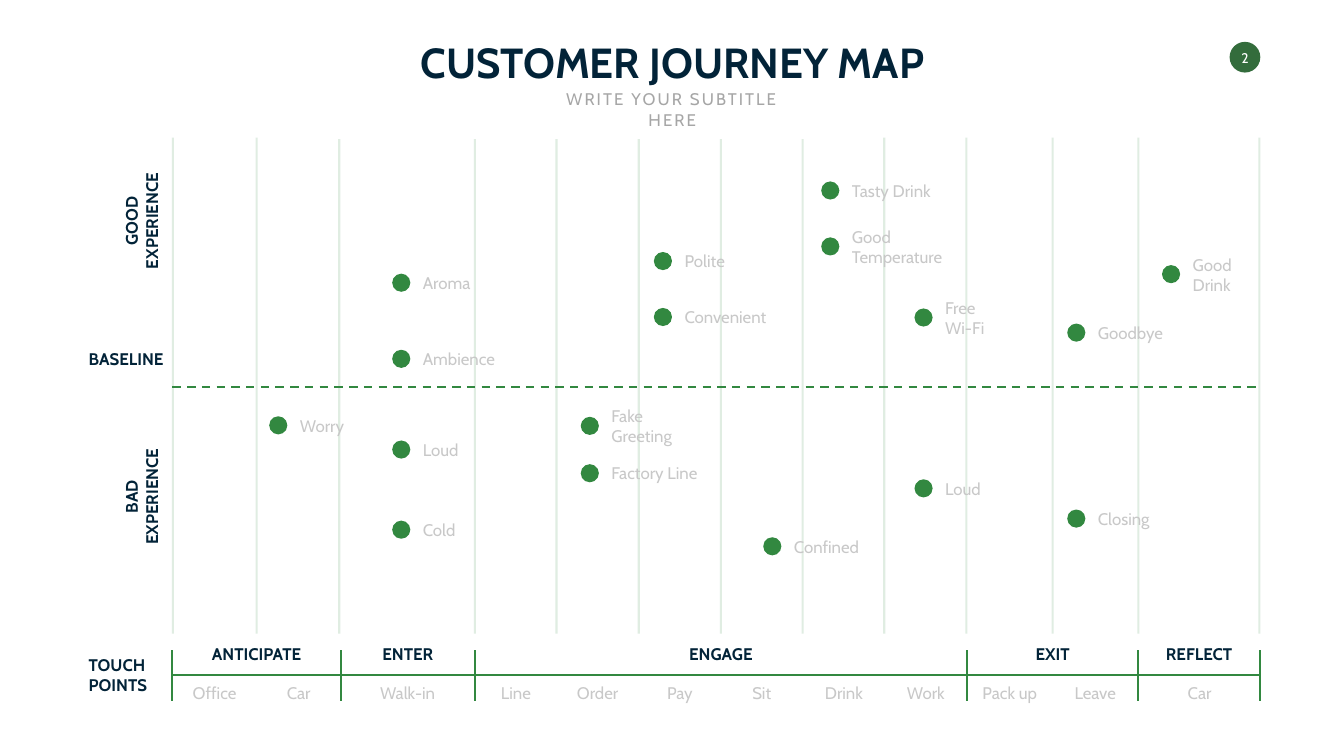
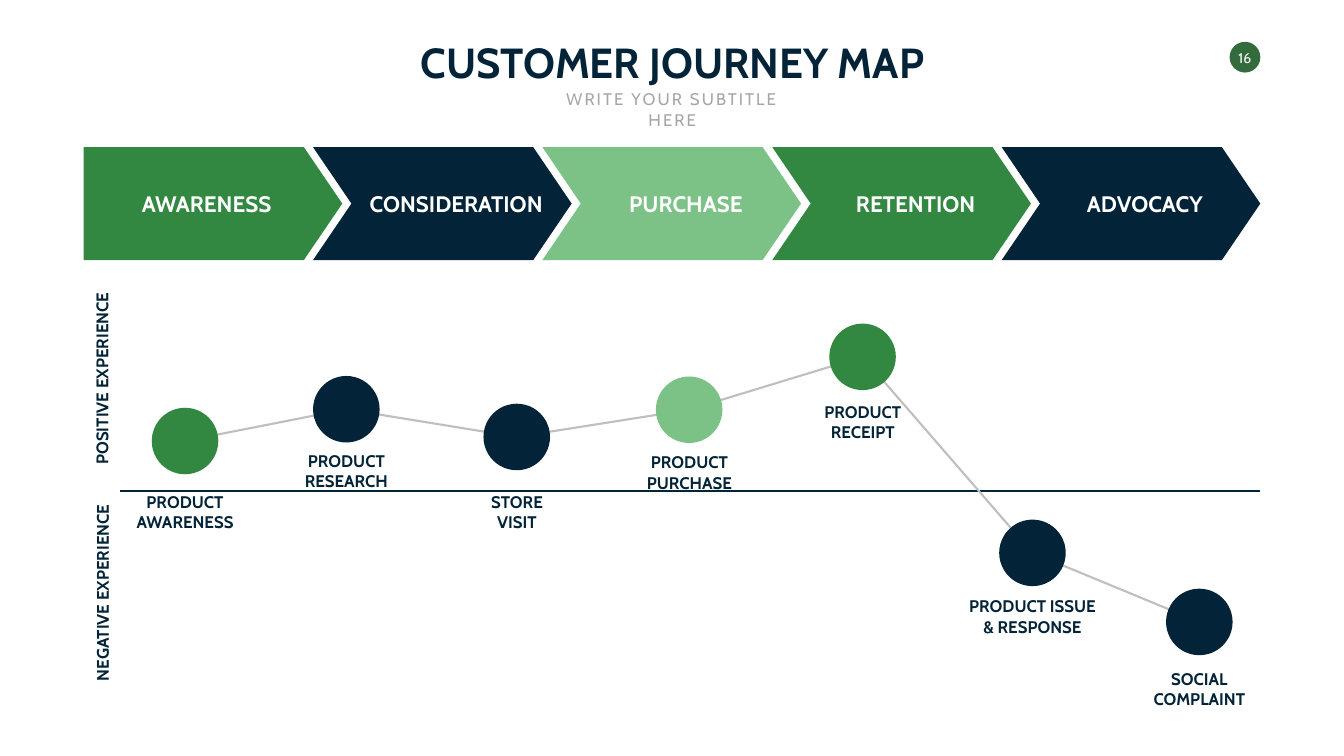
from lxml import etree
from pptx import Presentation
from pptx import util as u
from pptx.dml.color import RGBColor
from pptx.enum import dml, shapes, text
from pptx.oxml.ns import qn

PX = 9144  # 100 px to the inch
FONT = "Cabin"
COLORS = {
    "navy": "022338", "green": "328840", "light": "7CC287", "badge": "336C3C",
    "subtitle": "A6A6A6", "label": "C8C8C8", "path": "BFBFBF", "white": "FFFFFF",
}
LEFT, CENTER, RIGHT = text.PP_ALIGN.LEFT, text.PP_ALIGN.CENTER, text.PP_ALIGN.RIGHT
TOP, MIDDLE, BOTTOM = text.MSO_ANCHOR.TOP, text.MSO_ANCHOR.MIDDLE, text.MSO_ANCHOR.BOTTOM
OVAL = shapes.MSO_SHAPE.OVAL


def draw(slide, kind, x, y, w, h, color, width=3):
    """Add a filled preset shape, or a line spanning (w, h) when kind is None."""
    rgb = RGBColor.from_string(COLORS[color])
    if kind is None:
        line = slide.shapes.add_connector(
            shapes.MSO_CONNECTOR.STRAIGHT, x * PX, y * PX, (x + w) * PX, (y + h) * PX)
        line.line.color.rgb = rgb
        line.line.width = u.Pt(width)
        etree.SubElement(line._element.spPr, qn("a:effectLst"))
        return line
    shape = slide.shapes.add_shape(kind, x * PX, y * PX, w * PX, h * PX)
    shape.shadow.inherit = False
    shape.fill.solid()
    shape.fill.fore_color.rgb = rgb
    shape.line.fill.background()
    return shape


def write(slide, words, x, y, w, h, color="navy", size=24, bold=False,
          align=CENTER, anchor=MIDDLE, rotation=0):
    box = slide.shapes.add_textbox(x * PX, y * PX, w * PX, h * PX)
    box.rotation = rotation
    frame = box.text_frame
    frame.text = words
    frame.word_wrap = False
    frame.auto_size = text.MSO_AUTO_SIZE.SHAPE_TO_FIT_TEXT
    frame.vertical_anchor = anchor
    for paragraph in frame.paragraphs:
        paragraph.alignment = align
        paragraph.font.name = FONT
        paragraph.font.size = u.Pt(size)
        paragraph.font.bold = bold
        paragraph.font.color.rgb = RGBColor.from_string(COLORS[color])
    return box


prs = Presentation()
prs.slide_width, prs.slide_height = 2666 * PX, 1500 * PX

# Shared heading and page badge
pages = []
for page_number in ("2", "16"):
    page = prs.slides.add_slide(prs.slide_layouts[6])
    draw(page, OVAL, 2439, 83, 61, 61, "badge")
    number = write(page, page_number, 2449, 97, 41, 34, "white", 20).text_frame
    number.margin_left = number.margin_right = number.margin_top = number.margin_bottom = 0
    write(page, "CUSTOMER JOURNEY MAP", 778, 67, 1111, 111, size=60, bold=True, anchor=TOP)
    subtitle = write(page, "WRITE YOUR SUBTITLE HERE", 1062, 172, 543, 50, "subtitle", anchor=TOP)
    subtitle.text_frame.word_wrap = True
    subtitle.text_frame.paragraphs[0]._p.pPr.find(qn("a:defRPr")).set("spc", "300")
    pages.append(page)
touch_map, experience_map = pages

# Touch points: stage, label width, left, right, [(touch point, label width)]
stages = [
    ("ANTICIPATE", 220, 342, 676, [("Office", 111), ("Car", 71)]),
    ("ENTER", 124, 676, 942, [("Walk-in", 133)]),
    ("ENGAGE", 158, 942, 1918, [("Line", 81), ("Order", 107), ("Pay", 73),
                                ("Sit", 64), ("Drink", 100), ("Work", 101)]),
    ("EXIT", 92, 1918, 2258, [("Pack up", 134), ("Leave", 105)]),
    ("REFLECT", 159, 2258, 2500, [("Car", 71)]),
]

# Faint column lines
columns = [343, 509, 673, *[round(942 + i * 162.5) for i in range(7)], 2088, 2258, 2498]
for x in columns:
    top = 276 if 600 < x < 1700 else 273
    column = draw(touch_map, None, x, top, 0, 1257 - top, "green")
    tint = column.line._ln.find(".//" + qn("a:srgbClr"))
    etree.SubElement(tint, qn("a:alpha"), val="15000")

# Experience axis and baseline
write(touch_map, "BASELINE", 166, 687, 176, 50, bold=True, align=LEFT)
baseline = draw(touch_map, None, 342, 767, 2157, 0, "green")
baseline.line.dash_style = dml.MSO_LINE.DASH
for words, y in (("GOOD\nEXPERIENCE", 393), ("BAD\nEXPERIENCE", 940)):
    write(touch_map, words, 169, y, 221, 91, bold=True, anchor=BOTTOM, rotation=270)

# Touch point scale
write(touch_map, "TOUCH\nPOINTS", 166, 1294, 143, 91, bold=True, align=LEFT)
draw(touch_map, None, 342, 1340, 2157, 0, "green")
for tick in [342] + [stage[3] for stage in stages]:
    draw(touch_map, None, tick, 1290, 0, 100, "green")
for stage, width, left, right, points in stages:
    write(touch_map, stage, (left + right - width) // 2, 1273, width, 50, bold=True)
    pitch = (right - left) / len(points)
    for i, (point, point_width) in enumerate(points):
        x = round(left + (i + 0.5) * pitch - point_width / 2)
        write(touch_map, point, x, 1350, point_width, 50, "label")

# Moments: dot left, dot top, label, label width
moments = [
    (534, 826, "Worry", 114), (2305, 526, "Good\nDrink", 101),
    (2117, 642, "Goodbye", 154), (2117, 1011, "Closing", 127),
    (778, 694, "Ambience", 165), (778, 543, "Aroma", 116),
    (778, 874, "Loud", 93), (778, 1033, "Cold", 88),
    (1152, 827, "Fake\nGreeting", 147), (1152, 921, "Factory Line", 200),
    (1297, 611, "Convenient", 188), (1297, 500, "Polite", 102),
    (1514, 1066, "Confined", 154), (1629, 471, "Good\nTemperature", 208),
    (1629, 360, "Tasty Drink", 187), (1814, 612, "Free\nWi-Fi", 101),
    (1814, 951, "Loud", 93),
]
for x, y, moment, width in moments:
    draw(touch_map, OVAL, x, y, 36, 36, "green")
    height = 91 if "\n" in moment else 50
    write(touch_map, moment, x + 51, y + 18 - height // 2, width, height, "label", align=LEFT)

# Phase arrows
phases = [("AWARENESS", 306, "green"), ("CONSIDERATION", 400, "navy"),
          ("PURCHASE", 261, "light"), ("RETENTION", 267, "green"), ("ADVOCACY", 286, "navy")]
for i, (phase, width, color) in enumerate(phases):
    x = round(166 + i * 455.25)
    kind = shapes.MSO_SHAPE.CHEVRON if i else shapes.MSO_SHAPE.PENTAGON
    arrow = draw(experience_map, kind, x, 292, 513, 224, color)
    arrow.adjustments[0] = 0.34
    middle = x + (284 if i else 244)
    write(experience_map, phase, middle - width // 2, 372, width, 64, "white", 32, True)

# Experience axis
draw(experience_map, None, 239, 974, 2261, 0, "navy")
write(experience_map, "POSITIVE EXPERIENCE", 12, 717, 379, 50, bold=True, align=LEFT, rotation=270)
write(experience_map, "NEGATIVE EXPERIENCE", 5, 1164, 395, 50, bold=True, align=RIGHT, rotation=270)

# Journey steps: centre x, centre y, colour, label, label top, label width
steps = [
    (367, 875, "green", "PRODUCT\nAWARENESS", 971, 230),
    (687, 812, "navy", "PRODUCT\nRESEARCH", 889, 196),
    (1025, 867, "navy", "STORE\nVISIT", 971, 127),
    (1367, 813, "light", "PRODUCT\nPURCHASE", 892, 201),
    (1711, 708, "green", "PRODUCT\nRECEIPT", 792, 183),
    (2048, 1097, "navy", "PRODUCT ISSUE\n& RESPONSE", 1178, 284),
    (2379, 1234, "navy", "SOCIAL\nCOMPLAINT", 1321, 220),
]
route = [(x, y) for x, y, *_ in steps]
builder = experience_map.shapes.build_freeform(*route[0], scale=PX)
builder.add_line_segments(route[1:], close=False)
journey = builder.convert_to_shape()
journey.shadow.inherit = False
journey.fill.background()
journey.line.color.rgb = RGBColor.from_string(COLORS["path"])
journey.line.width = u.Pt(3)

for x, y, color, step, top, width in steps:
    draw(experience_map, OVAL, x - 66, y - 66, 132, 132, color)
    write(experience_map, step, x - width // 2, top, width, 91, bold=True, anchor=TOP)

prs.save("out.pptx")
